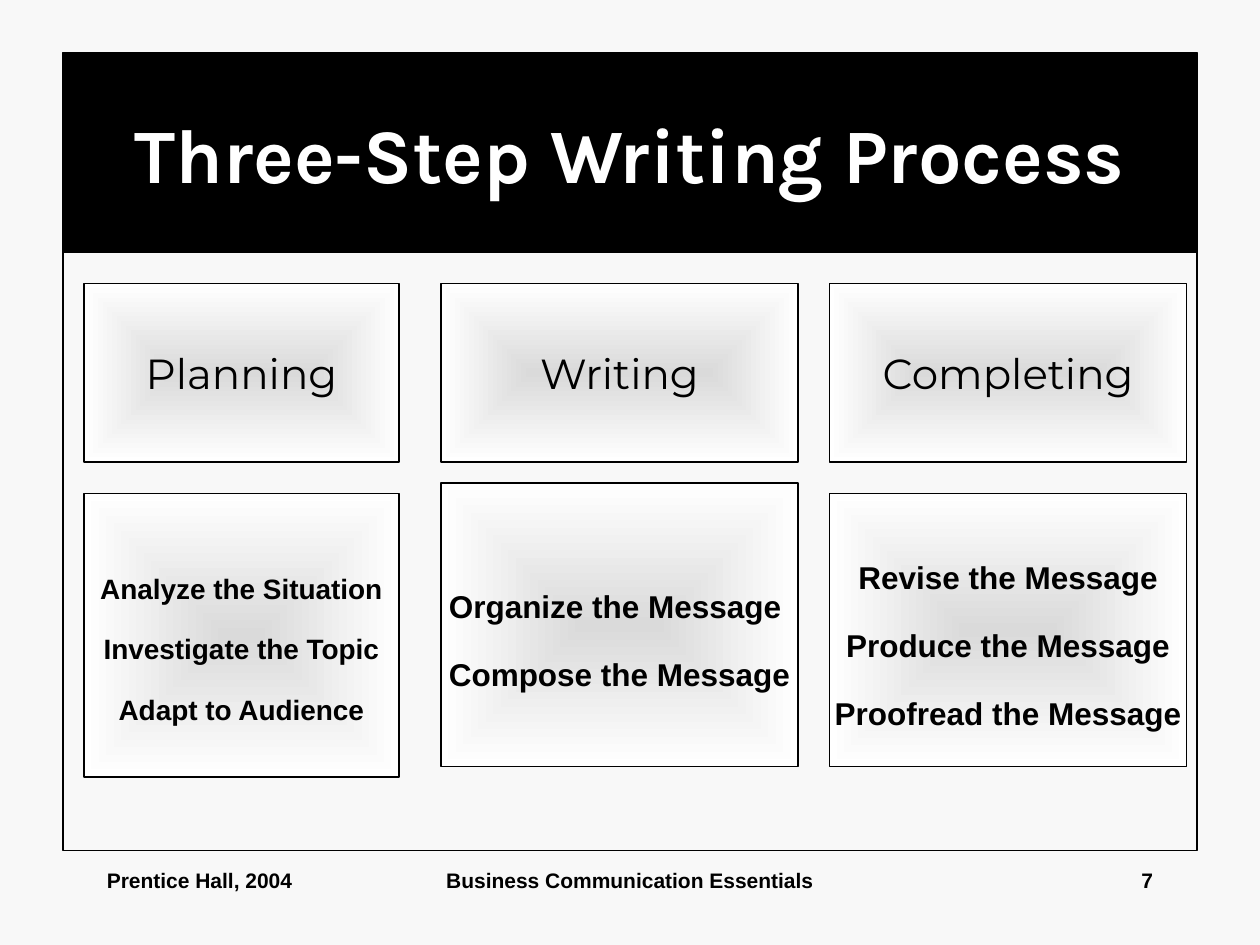
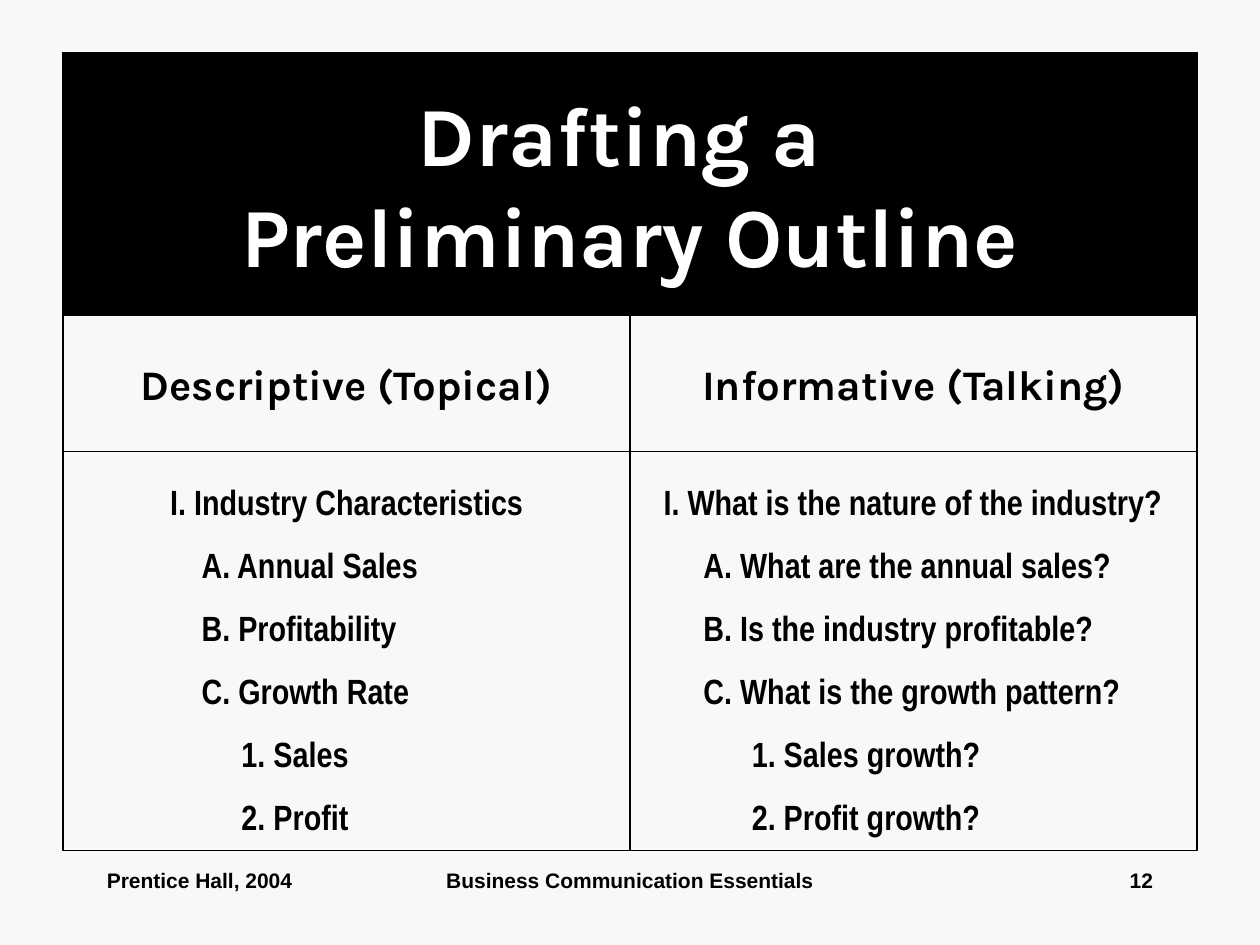
import pptx
import pptx.util
import pptx.dml.color
import pptx.enum.shapes
import pptx.enum.text
import pptx.oxml
import pptx.oxml.ns

COLORS = {"paper": "F8F8F8", "ink": "000000", "light": "FFFFFF", "core": "DADADA"}
FONTS = {"head": "Karla", "step": "Montserrat", "text": "Arial", "list": "Arial Narrow"}
COLS, ROWS = 120, 90
LEFT, TOP, WIDTH, BASE = 6, 5, 108, 81
ALIGN = pptx.enum.text.PP_ALIGN
MIDDLE = pptx.enum.text.MSO_ANCHOR.MIDDLE


def color(name):
    return pptx.dml.color.RGBColor.from_string(COLORS[name])


class Deck:
    """Holds the shared style and the current slide; places are in grid cells."""

    def __init__(self):
        self.prs = pptx.Presentation()
        self.prs.slide_width = pptx.util.Inches(10)
        self.prs.slide_height = pptx.util.Inches(7.5)
        self.col = self.prs.slide_width / COLS
        self.row = self.prs.slide_height / ROWS
        self.slide = None
        fill = self.prs.slide_master.background.fill
        fill.solid()
        fill.fore_color.rgb = color("paper")

    def area(self, x, y, w, h):
        return (round(x * self.col), round(y * self.row),
                round(w * self.col), round(h * self.row))

    def place(self, shape, *cells):
        shape.left, shape.top, shape.width, shape.height = self.area(*cells)

    def style(self, para, face, size, bold=True, ink="ink", align=ALIGN.CENTER, lead=None):
        para.alignment = align
        para.space_before = pptx.util.Pt(0)
        para.line_spacing = lead
        font = para.font
        font.name, font.size, font.bold = FONTS[face], pptx.util.Pt(size), bold
        font.color.rgb = color(ink)

    def edge(self, shape):
        shape.line.color.rgb = color("ink")
        shape.line.width = pptx.util.Pt(0.75)

    def start(self, layout, number):
        self.slide = self.prs.slides.add_slide(self.prs.slide_layouts.get_by_name(layout))
        self.note("Prentice Hall, 2004", 9, 25, ALIGN.LEFT)
        self.note("Business Communication Essentials", 41, 38, ALIGN.CENTER)
        self.note(str(number), 86, 25, ALIGN.RIGHT)

    def note(self, text, x, w, align):
        frame = self.slide.shapes.add_textbox(*self.area(x, 82, w, 6)).text_frame
        frame.word_wrap = True
        frame.text = text
        self.style(frame.paragraphs[0], "text", 12, align=align)

    def title(self, lines, size, rows):
        band = self.slide.shapes.title
        self.place(band, LEFT, TOP, WIDTH, rows)
        band.fill.solid()
        band.fill.fore_color.rgb = color("ink")
        self.edge(band)
        frame = band.text_frame
        frame.auto_size = pptx.enum.text.MSO_AUTO_SIZE.NONE
        frame.vertical_anchor = MIDDLE
        para = frame.paragraphs[0]
        for place, line in enumerate(lines):
            if place:
                para.add_line_break()
            para.add_run().text = line
        self.style(para, "head", size, ink="light")

    def box(self, *cells, lines=(), glow=False, **look):
        """Draw an outlined box with centred lines, lit from its core if glow is set."""
        kind = pptx.enum.shapes.MSO_SHAPE.RECTANGLE
        shape = self.slide.shapes.add_shape(kind, *self.area(*cells))
        shape.shadow.inherit = False
        self.edge(shape)
        if glow:
            self.glow(shape)
        else:
            shape.fill.background()
        frame = shape.text_frame
        frame.word_wrap = False
        frame.vertical_anchor = MIDDLE
        for place, line in enumerate(lines):
            para = frame.add_paragraph() if place else frame.paragraphs[0]
            para.text = line
            self.style(para, **look)

    def glow(self, shape):
        """Fill with a gradient that runs from the centre to all four sides."""
        shape.fill.gradient()
        for stop, name in zip(shape.fill.gradient_stops, ("core", "light")):
            stop.color.rgb = color(name)
        grad = shape.element.spPr.find(pptx.oxml.ns.qn("a:gradFill"))
        route = pptx.oxml.parse_xml(
            f'<a:path {pptx.oxml.ns.nsdecls("a")} path="rect">'
            '<a:fillToRect l="50000" t="50000" r="50000" b="50000"/></a:path>')
        grad.replace(grad.find(pptx.oxml.ns.qn("a:lin")), route)

    def list(self, index, x, w, steps, items):
        """Fill a body placeholder with (level, text) items; steps are indents in columns."""
        body = self.slide.placeholders[index]
        self.place(body, x, 43.2, w, 37.2)
        frame = body.text_frame
        frame.auto_size = pptx.enum.text.MSO_AUTO_SIZE.NONE
        for place, (level, text) in enumerate(items):
            para = frame.add_paragraph() if place else frame.paragraphs[0]
            para.text = text
            para.level = level
            props = para._p.get_or_add_pPr()
            props.set("marL", str(round(steps[level] * self.col)))
            props.set("indent", "0")
            props.append(pptx.oxml.parse_xml(f'<a:buNone {pptx.oxml.ns.nsdecls("a")}/>'))
            self.style(para, "list", 20, align=ALIGN.LEFT, lead=1.5)


def process(deck):
    deck.start("Title Only", 7)
    deck.title(["Three-Step Writing Process"], 44, 19)
    deck.box(LEFT, 24, WIDTH, BASE - 24, face="text", size=18)
    steps = [
        ("Planning", 8, 30, 47, 27, 16,
         ["Analyze the Situation", "Investigate the Topic", "Adapt to Audience"]),
        ("Writing", 42, 34, 46, 27, 18,
         ["Organize the Message ", "Compose the Message"]),
        ("Completing", 79, 34, 47, 26, 18,
         ["Revise the Message", "Produce the Message", "Proofread the Message"]),
    ]
    for name, x, w, y, h, size, tasks in steps:
        deck.box(x, 27, w, 17, lines=[name], glow=True, face="step", size=24, bold=False)
        deck.box(x, y, w, h, lines=tasks, glow=True, face="text", size=size, lead=1.8)


def outline(deck):
    deck.start("Two Content", 12)
    deck.title(["Drafting a ", "Preliminary Outline"], 48, 25)
    half = WIDTH / 2
    for place, head in enumerate(["Descriptive (Topical)", "Informative (Talking)"]):
        x = LEFT + place * half
        deck.box(x, 30, half, 13, lines=[head], face="head", size=24)
        deck.box(x, 43, half, BASE - 43)
    deck.list(1, 15, 42, (0, 3, 6.8), [
        (0, "I. Industry Characteristics"),
        (1, "A. Annual Sales"),
        (1, "B. Profitability"),
        (1, "C. Growth Rate"),
        (2, "1. Sales"),
        (2, "2. Profit"),
    ])
    deck.list(2, 62, 52, (0, 3.8, 8.4), [
        (0, "I. What is the nature of the industry?"),
        (1, "A. What are the annual sales?"),
        (1, "B. Is the industry profitable?"),
        (1, "C. What is the growth pattern?"),
        (2, "1. Sales growth?"),
        (2, "2. Profit growth?"),
    ])


def main():
    deck = Deck()
    process(deck)
    outline(deck)
    deck.prs.save("out.pptx")


if __name__ == "__main__":
    main()
